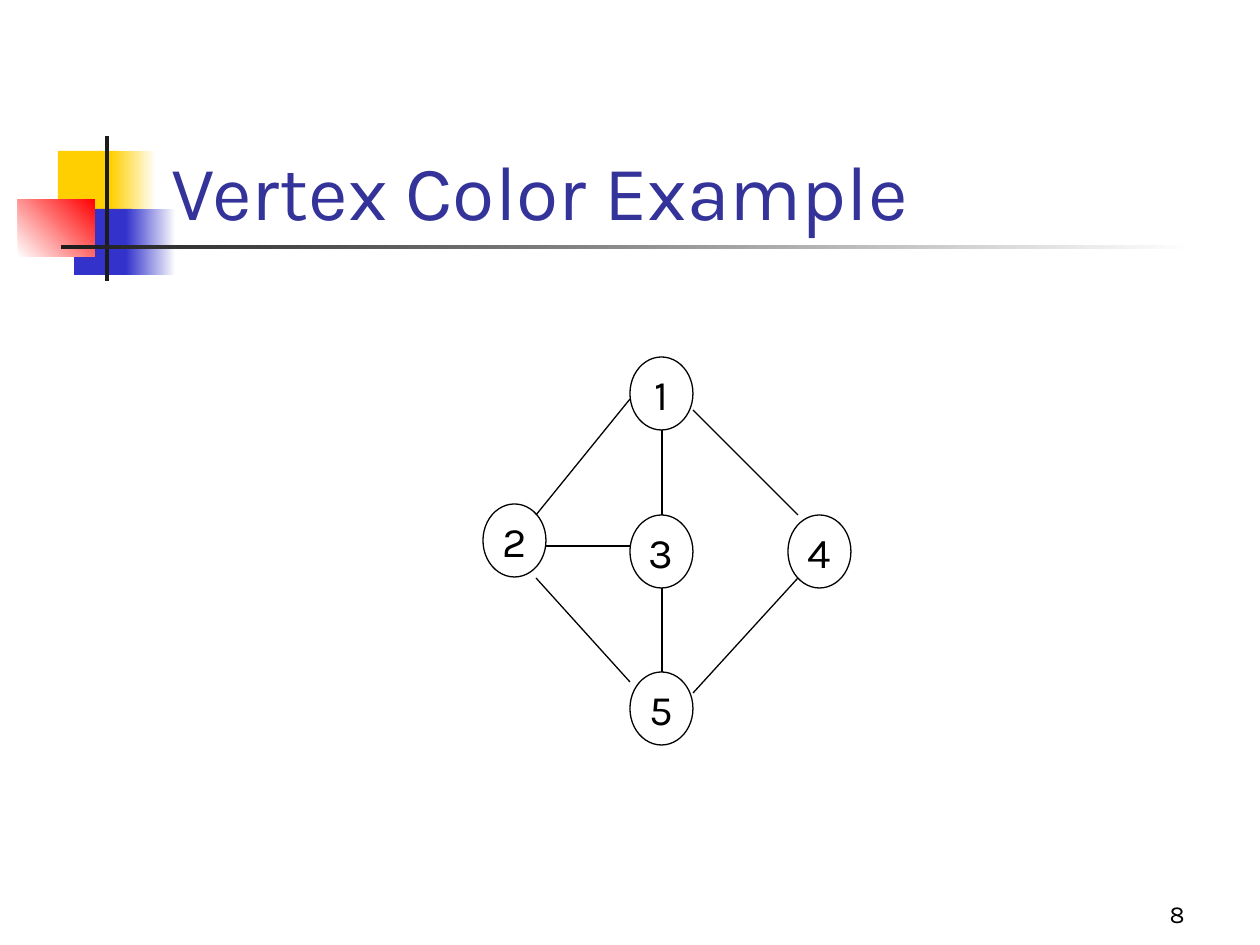
from lxml import etree
from pptx import Presentation
from pptx import util as u
from pptx.dml.color import RGBColor
from pptx.enum import shapes, text
from pptx.oxml.ns import qn

PX = u.Inches(1) / 126
FONT = "Karla"
BLACK = "000000"


def px(*lengths):
    return [round(length * PX) for length in lengths]


def color(hex_string):
    return RGBColor.from_string(hex_string)


prs = Presentation()
prs.slide_width, prs.slide_height = px(1260, 945)
slide = prs.slides.add_slide(prs.slide_layouts[5])

# Corner ornament: solid blocks, fading blocks and the two rules
ornament = [
    ((58, 151, 60, 66), ["FFCF01"], 0),
    ((111, 151, 45, 66), ["FFCF01", "FFFFFF"], 0),
    ((74, 209, 58, 66), ["3333CC"], 0),
    ((126, 209, 50, 66), ["3333CC", "FFFFFF"], 0),
    ((18, 199, 77, 58), ["FFFFFF", "FF0000"], 45),
    ((105, 136, 4, 145), ["1C1C1C"], 0),
    ((61, 245, 1134, 4), ["1C1C1C", "FFFFFF"], 0),
]
for place, colors, angle in ornament:
    block = slide.shapes.add_shape(shapes.MSO_SHAPE.RECTANGLE, *px(*place))
    block.shadow.inherit = False
    block.line.fill.background()
    if len(colors) == 1:
        block.fill.solid()
        block.fill.fore_color.rgb = color(colors[0])
    else:
        block.fill.gradient()
        block.fill.gradient_angle = angle
        for stop, stop_color in zip(block.fill.gradient_stops, colors):
            stop.color.rgb = color(stop_color)

# Title
title = slide.shapes.title
title.left, title.top, title.width, title.height = px(159, 84, 1074, 158)
title.text_frame.text = "Vertex Color Example"
title.text_frame.vertical_anchor = text.MSO_ANCHOR.BOTTOM
title.text_frame.auto_size = text.MSO_AUTO_SIZE.NONE
heading = title.text_frame.paragraphs[0]
heading.alignment = text.PP_ALIGN.LEFT
heading.font.name, heading.font.size = FONT, u.Pt(44)
heading.font.color.rgb = color("333399")

# Slide number
number = slide.shapes.add_textbox(*px(935, 872, 262, 63)).text_frame
number.word_wrap = True
number.vertical_anchor = text.MSO_ANCHOR.BOTTOM
number.text = "8"
digit = number.paragraphs[0]
digit.alignment = text.PP_ALIGN.RIGHT
digit.font.name, digit.font.size = FONT, u.Pt(14)
digit.font.color.rgb = color(BLACK)

# Graph vertices
vertices = {"1": (630, 357), "2": (483, 504), "4": (788, 515),
            "5": (630, 672), "3": (630, 515)}
for name, (left, top) in vertices.items():
    vertex = slide.shapes.add_shape(shapes.MSO_SHAPE.OVAL, *px(left, top, 63, 73))
    vertex.shadow.inherit = False
    vertex.fill.background()
    vertex.line.color.rgb = color(BLACK)
    vertex.line.width = u.Pt(0.75)
    vertex.text_frame.word_wrap = False
    vertex.text_frame.vertical_anchor = text.MSO_ANCHOR.MIDDLE
    vertex.text_frame.text = name
    label = vertex.text_frame.paragraphs[0]
    label.alignment = text.PP_ALIGN.CENTER
    label.font.name, label.font.size = FONT, u.Pt(24)
    label.font.color.rgb = color(BLACK)

# Graph edges
edges = [
    (662, 430, 662, 515),  # 1-3
    (662, 588, 662, 672),  # 3-5
    (630, 399, 536, 515),  # 1-2
    (536, 578, 630, 682),  # 2-5
    (693, 693, 798, 578),  # 5-4
    (798, 515, 693, 410),  # 4-1
    (546, 546, 630, 546),  # 2-3
]
for ends in edges:
    edge = slide.shapes.add_connector(shapes.MSO_CONNECTOR.STRAIGHT, *px(*ends))
    edge.line.color.rgb = color(BLACK)
    edge.line.width = u.Pt(0.75)
    etree.SubElement(edge._element.spPr, qn("a:effectLst"))

prs.save("out.pptx")
